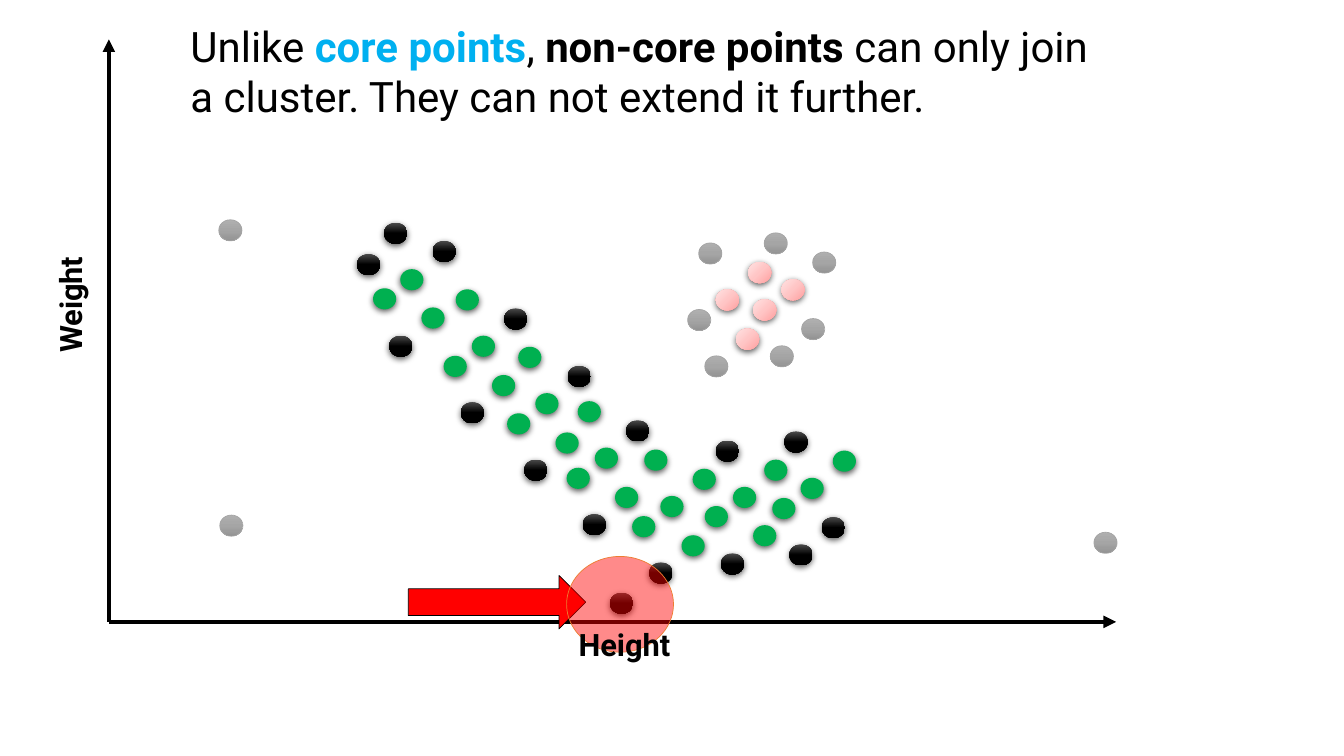
from copy import deepcopy

from lxml import etree
from pptx import Presentation
from pptx.dml.color import RGBColor
from pptx.enum.shapes import MSO_CONNECTOR, MSO_SHAPE
from pptx.oxml.ns import qn
from pptx.util import Inches, Pt

STRAIGHT = MSO_CONNECTOR.STRAIGHT
ELLIPSE = MSO_SHAPE.OVAL
RIGHT_ARROW = MSO_SHAPE.RIGHT_ARROW

BLACK = RGBColor(0x00, 0x00, 0x00)
CHARCOAL = RGBColor(0x4B, 0x4B, 0x4B)
GREEN = RGBColor(0x00, 0xB0, 0x50)
SKY_BLUE = RGBColor(0x00, 0xB0, 0xF0)
RED = RGBColor(0xFF, 0x00, 0x00)
ORANGE = RGBColor(0xED, 0x7D, 0x31)
GREY = RGBColor(0xA5, 0xA5, 0xA5)
LIGHT_GREY = RGBColor(0xAF, 0xAF, 0xAF)
DARK_GREY = RGBColor(0x93, 0x93, 0x93)
PINK = RGBColor(0xFF, 0xA0, 0xA0)
LIGHT_PINK = RGBColor(0xFF, 0xC5, 0xC5)
PALE_PINK = RGBColor(0xFF, 0xE3, 0xE3)

FONT = "Roboto"
POINT_WIDTH, POINT_HEIGHT = 0.23, 0.21
ORIGIN = (1.08, 6.17)

CORE_POINTS = [
    (3.97, 2.67), (3.7, 2.86), (4.18, 3.05), (4.52, 2.87), (4.68, 3.33),
    (4.4, 3.53), (4.88, 3.72), (5.14, 3.44), (5.31, 3.9), (5.03, 4.1),
    (5.51, 4.29), (5.73, 3.98), (5.9, 4.44), (5.62, 4.64), (6.1, 4.83),
    (6.39, 4.46), (6.55, 4.92), (6.87, 4.65), (6.27, 5.12), (6.76, 5.31),
    (7.27, 4.83), (7.58, 4.56), (6.99, 5.02), (7.47, 5.21), (7.94, 4.74),
    (8.26, 4.47), (7.66, 4.94),
]
NON_CORE_POINTS = [
    (3.81, 2.21), (4.29, 2.39), (3.86, 3.33), (5, 3.06), (4.57, 3.99),
    (5.63, 3.63), (5.2, 4.56), (6.21, 4.17), (5.78, 5.1), (6.44, 5.58),
    (7.1, 4.37), (7.15, 5.49), (7.78, 4.28), (7.83, 5.4), (8.15, 5.13),
    (3.54, 2.52), (6.05, 5.88),
]
SECOND_CORE_POINTS = [
    (7.1, 2.87), (7.42, 2.6), (7.3, 3.26), (7.75, 2.77), (7.47, 2.97),
]
UNASSIGNED_POINTS = [
    (6.93, 2.41), (6.82, 3.07), (6.99, 3.53), (7.58, 2.31), (8.06, 2.5),
    (7.64, 3.43), (7.95, 3.16), (2.17, 2.18), (2.18, 5.11), (10.85, 5.28),
]
HEADLINE = [
    ("Unlike ", BLACK, False),
    ("core points", SKY_BLUE, True),
    (", ", BLACK, False),
    ("non-core points", BLACK, True),
    (" can only join a cluster. They can not extend it further.", BLACK, False),
]


def add_axis(slide, end):
    """Draw an axis arrow from the origin to the end point."""
    axis = slide.shapes.add_connector(STRAIGHT, *map(Inches, ORIGIN + end))
    axis.line.color.rgb = BLACK
    axis.line.width = Pt(3)
    etree.SubElement(axis.line._get_or_add_ln(), qn("a:tailEnd"), type="triangle")
    etree.SubElement(axis._element.spPr, qn("a:effectLst"))


def add_figure(slide, preset, box, colors, outline=None, angle=270):
    """Add a preset shape filled with one colour or a three-colour gradient."""
    shape = slide.shapes.add_shape(preset, *map(Inches, box))
    shape.shadow.inherit = False
    if len(colors) == 1:
        shape.fill.solid()
        shape.fill.fore_color.rgb = colors[0]
    else:
        shape.fill.gradient()
        shape.fill.gradient_angle = angle
        stop_list = shape._element.spPr.find(".//" + qn("a:gsLst"))
        stop_list.append(deepcopy(stop_list[0]))
        for stop, color, position in zip(shape.fill.gradient_stops, colors, (0, 0.5, 1)):
            stop.color.rgb = color
            stop.position = position
    if outline is None:
        shape.line.fill.background()
    else:
        shape.line.color.rgb = outline
        shape.line.width = Pt(0.5)
    return shape


def add_shadow(shape):
    """Give a shape a soft shadow that falls straight down."""
    effects = shape._element.spPr.find(qn("a:effectLst"))
    shadow = etree.SubElement(
        effects, qn("a:outerShdw"), blurRad=str(Pt(4.5)), dist=str(Pt(1.5)),
        dir="5400000", algn="ctr", rotWithShape="0")
    color = etree.SubElement(shadow, qn("a:srgbClr"), val=str(BLACK))
    etree.SubElement(color, qn("a:alpha"), val="63000")


def add_points(slide, positions, colors, outline=None, angle=270):
    """Add one group of data points; points without an outline cast a shadow."""
    for left, top in positions:
        box = (left, top, POINT_WIDTH, POINT_HEIGHT)
        point = add_figure(slide, ELLIPSE, box, colors, outline, angle)
        if outline is None:
            add_shadow(point)


def add_halo(slide, box):
    """Add the translucent circle that marks the neighbourhood of a point."""
    halo = add_figure(slide, ELLIPSE, box, [RED], ORANGE)
    color = halo._element.spPr.find(qn("a:solidFill"))[0]
    etree.SubElement(color, qn("a:alpha"), val="46000")


def add_text(slide, box, pieces, size, rotation=0):
    """Add a text box made of (text, colour, bold) pieces."""
    text_box = slide.shapes.add_textbox(*map(Inches, box))
    text_box.rotation = rotation
    text_box.text_frame.word_wrap = True
    paragraph = text_box.text_frame.paragraphs[0]
    for text, color, bold in pieces:
        run = paragraph.add_run()
        run.text = text
        run.font.name = FONT
        run.font.size = Pt(size)
        run.font.bold = bold
        run.font.color.rgb = color


def main():
    """Build the clustering slide and save it."""
    presentation = Presentation()
    presentation.slide_width = Inches(13.33)
    presentation.slide_height = Inches(7.5)
    slide = presentation.slides.add_slide(presentation.slide_layouts[6])

    add_axis(slide, (11.07, 6.17))
    add_axis(slide, (1.08, 0.39))
    add_points(slide, CORE_POINTS, [GREEN])
    add_points(slide, SECOND_CORE_POINTS, [PINK, LIGHT_PINK, PALE_PINK], angle=135)
    add_points(slide, UNASSIGNED_POINTS, [LIGHT_GREY, GREY, DARK_GREY], GREY)
    add_points(slide, NON_CORE_POINTS, [CHARCOAL, BLACK, BLACK])
    add_text(slide, (1.79, 0.15, 9.28, 1.11), HEADLINE, 30)
    add_figure(slide, RIGHT_ARROW, (4.05, 5.71, 1.76, 0.53), [RED], BLACK)
    add_halo(slide, (5.62, 5.52, 1.06, 0.95))
    add_text(slide, (5.64, 6.16, 1.17, 0.47), [("Height", BLACK, True)], 22)
    add_text(slide, (0.1, 2.77, 1.19, 0.47), [("Weight", BLACK, True)], 22, 270)
    presentation.save("out.pptx")


if __name__ == "__main__":
    main()
